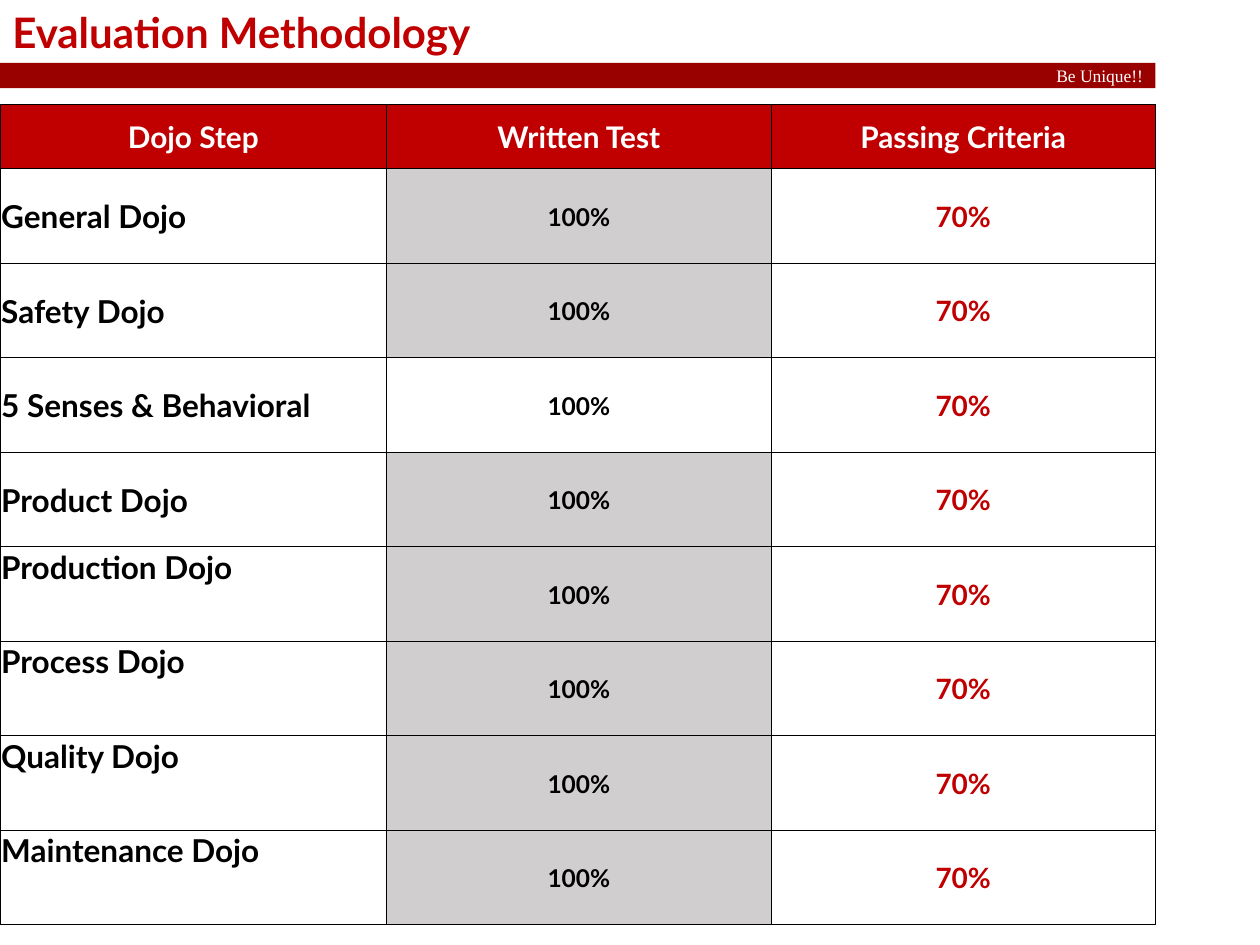
"""Build the Evaluation Methodology slide with its table of dojo steps."""
from dataclasses import dataclass
from typing import Optional

from lxml import etree
from pptx import Presentation
from pptx.dml.color import RGBColor
from pptx.enum.shapes import MSO_SHAPE
from pptx.enum.text import MSO_ANCHOR, MSO_AUTO_SIZE, PP_ALIGN
from pptx.oxml.ns import qn
from pptx.util import Inches, Pt

RECTANGLE = MSO_SHAPE.RECTANGLE
TOP, MIDDLE = MSO_ANCHOR.TOP, MSO_ANCHOR.MIDDLE
LEFT, CENTER, RIGHT = PP_ALIGN.LEFT, PP_ALIGN.CENTER, PP_ALIGN.RIGHT
FIT_SHAPE = MSO_AUTO_SIZE.SHAPE_TO_FIT_TEXT

COLORS = {
    "banner": "990000",
    "accent": "C00000",
    "shade": "D0CECE",
    "ink": "000000",
    "white": "FFFFFF",
}
FONT = "Lato"
BANNER_FONT = "Times New Roman"
CONTENT_WIDTH = 9.17
COLUMN_WIDTHS = (3.07, 3.05, 3.05)
HEADER_HEIGHT = 0.51
STEP_HEIGHT = 0.75
HEADINGS = ("Dojo Step", "Written Test", "Passing Criteria")


@dataclass(frozen=True)
class CellStyle:
    size: float
    color: str
    align: PP_ALIGN = CENTER
    anchor: MSO_ANCHOR = MIDDLE
    fill: Optional[str] = None


@dataclass(frozen=True)
class DojoStep:
    name: str
    anchor: MSO_ANCHOR = MIDDLE
    test_fill: Optional[str] = "shade"
    written_test: str = "100%"
    passing: str = "70%"


STEPS = (
    DojoStep("General Dojo"),
    DojoStep("Safety Dojo"),
    DojoStep("5 Senses & Behavioral", test_fill=None),
    DojoStep("Product Dojo"),
    DojoStep("Production Dojo", TOP),
    DojoStep("Process Dojo", TOP),
    DojoStep("Quality Dojo", TOP),
    DojoStep("Maintenance Dojo", TOP),
)


def rgb(name: str) -> RGBColor:
    return RGBColor.from_string(COLORS[name])


def write(frame, text: str, size: float, color: str, align: PP_ALIGN = LEFT,
          font: str = FONT, bold: bool = True) -> None:
    frame.text = text
    paragraph = frame.paragraphs[0]
    paragraph.alignment = align
    for run in paragraph.runs:
        run.font.name = font
        run.font.size = Pt(size)
        run.font.bold = bold
        run.font.color.rgb = rgb(color)


def add_title(slide) -> None:
    title = slide.shapes.add_textbox(0, 0, Inches(4.29), Inches(0.5))
    title.text_frame.word_wrap = False
    title.text_frame.auto_size = FIT_SHAPE
    write(title.text_frame, "Evaluation Methodology", 24, "accent")


def add_banner(slide) -> None:
    banner = slide.shapes.add_shape(
        RECTANGLE, 0, Inches(0.5), Inches(CONTENT_WIDTH), Inches(0.2))
    banner.shadow.inherit = False
    banner.fill.solid()
    banner.fill.fore_color.rgb = rgb("banner")
    banner.line.fill.background()
    banner.text_frame.word_wrap = False
    banner.text_frame.vertical_anchor = MIDDLE
    write(banner.text_frame, "Be Unique!!", 10, "white", RIGHT, BANNER_FONT, False)


def add_borders(cell) -> None:
    properties = cell._tc.get_or_add_tcPr()
    for side in ("a:lnL", "a:lnR", "a:lnT", "a:lnB"):
        border = etree.SubElement(properties, qn(side), w=str(Pt(0.5)))
        solid = etree.SubElement(border, qn("a:solidFill"))
        etree.SubElement(solid, qn("a:srgbClr"), val=COLORS["ink"])


def fill_cell(cell, text: str, style: CellStyle) -> None:
    cell.margin_left = cell.margin_right = cell.margin_top = Inches(0.01)
    cell.margin_bottom = 0
    cell.vertical_anchor = style.anchor
    add_borders(cell)
    if style.fill:
        cell.fill.solid()
        cell.fill.fore_color.rgb = rgb(style.fill)
    else:
        cell.fill.background()
    write(cell.text_frame, text, style.size, style.color, style.align)


def add_step_table(slide) -> None:
    height = HEADER_HEIGHT + STEP_HEIGHT * len(STEPS)
    table = slide.shapes.add_table(
        len(STEPS) + 1, len(HEADINGS), 0, Inches(0.83),
        Inches(CONTENT_WIDTH), Inches(height)).table
    for column, width in zip(table.columns, COLUMN_WIDTHS):
        column.width = Inches(width)
    for index, row in enumerate(table.rows):
        row.height = Inches(STEP_HEIGHT if index else HEADER_HEIGHT)

    heading_style = CellStyle(17, "white", fill="accent")
    for column, heading in enumerate(HEADINGS):
        fill_cell(table.cell(0, column), heading, heading_style)
    for row, step in enumerate(STEPS, start=1):
        fill_cell(table.cell(row, 0), step.name,
                  CellStyle(18, "ink", LEFT, step.anchor))
        fill_cell(table.cell(row, 1), step.written_test,
                  CellStyle(14, "ink", fill=step.test_fill))
        fill_cell(table.cell(row, 2), step.passing, CellStyle(16, "accent"))


def main() -> None:
    presentation = Presentation()
    presentation.slide_width = Inches(10)
    presentation.slide_height = Inches(7.5)
    slide = presentation.slides.add_slide(presentation.slide_layouts[6])
    add_banner(slide)
    add_title(slide)
    add_step_table(slide)
    presentation.save("out.pptx")


if __name__ == "__main__":
    main()
